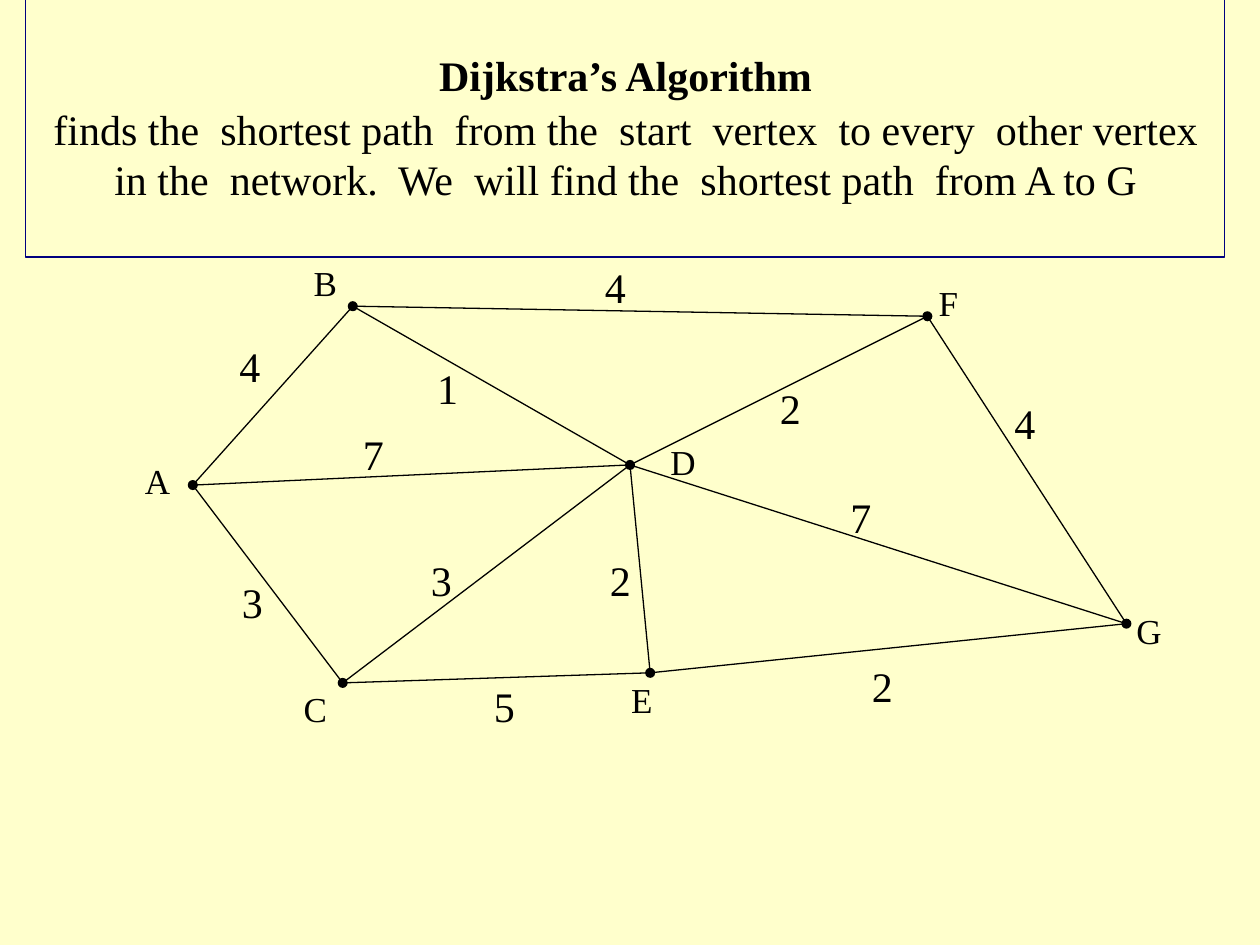
from dataclasses import dataclass

from lxml.etree import SubElement
from pptx import Presentation
from pptx.dml.color import RGBColor
from pptx.enum.shapes import MSO_CONNECTOR, MSO_SHAPE
from pptx.enum.text import PP_ALIGN
from pptx.oxml.ns import qn
from pptx.util import Inches, Pt


@dataclass(frozen=True)
class Theme:
    font: str = "Times New Roman"
    paper: RGBColor = RGBColor(0xFF, 0xFF, 0xCC)
    ink: RGBColor = RGBColor(0, 0, 0)
    frame: RGBColor = RGBColor(0, 0, 0x7F)
    body_size: int = 24
    vertex_size: int = 20
    line_width: float = 0.75
    dot: float = 0.08
    wide_gap: int = 600  # extra width of a wide word gap, in 1/100 pt


@dataclass(frozen=True)
class Vertex:
    x: float
    y: float
    label_x: float
    label_y: float


@dataclass(frozen=True)
class Edge:
    start: str
    end: str
    weight: int
    label_x: float
    label_y: float


THEME = Theme()

VERTICES = {
    "A": Vertex(1.53, 3.85, 1.15, 3.68),
    "B": Vertex(2.8, 2.43, 2.49, 2.11),
    "C": Vertex(2.72, 5.42, 2.41, 5.49),
    "D": Vertex(5, 3.69, 5.32, 3.53),
    "E": Vertex(5.16, 5.34, 5.01, 5.42),
    "F": Vertex(7.36, 2.51, 7.45, 2.27),
    "G": Vertex(8.94, 4.95, 9.02, 4.87),
}

EDGES = [
    Edge("A", "B", 4, 1.9, 2.75),
    Edge("A", "C", 3, 1.92, 4.62),
    Edge("A", "D", 7, 2.88, 3.45),
    Edge("B", "D", 1, 3.47, 2.92),
    Edge("B", "F", 4, 4.8, 2.12),
    Edge("C", "D", 3, 3.42, 4.45),
    Edge("C", "E", 5, 3.92, 5.45),
    Edge("D", "E", 2, 4.84, 4.45),
    Edge("D", "F", 2, 6.19, 3.08),
    Edge("D", "G", 7, 6.75, 3.95),
    Edge("E", "G", 2, 6.92, 5.29),
    Edge("F", "G", 4, 8.05, 3.2),
]

TITLE = "Dijkstra’s Algorithm"
# Wide word gaps fall between these phrases.
SUMMARY = [
    "finds the", "shortest path", "from the", "start", "vertex", "to every",
    "other vertex in the", "network.  We", "will find the", "shortest path",
    "from A to G",
]


def add_run(paragraph, text: str, size: int, bold: bool = False):
    run = paragraph.add_run()
    run.text = text
    run.font.name = THEME.font
    run.font.size = Pt(size)
    run.font.bold = bold
    run.font.color.rgb = THEME.ink
    return run


def add_text_frame(slide, left: float, top: float, width: float, height: float):
    box = slide.shapes.add_textbox(
        Inches(left), Inches(top), Inches(width), Inches(height))
    frame = box.text_frame
    frame.word_wrap = True
    frame.margin_left = frame.margin_right = 0
    frame.margin_top = frame.margin_bottom = 0
    return frame


def draw_label(slide, text: str, left: float, top: float, size: int,
               leading: float, before: float) -> None:
    frame = add_text_frame(slide, left, top, 0.3, 0.36)
    paragraph = frame.paragraphs[0]
    paragraph.line_spacing = Pt(leading)
    paragraph.space_before = Pt(before)
    add_run(paragraph, text, size)


def draw_edge(slide, edge: Edge) -> None:
    start, end = VERTICES[edge.start], VERTICES[edge.end]
    line = slide.shapes.add_connector(
        MSO_CONNECTOR.STRAIGHT, Inches(start.x), Inches(start.y),
        Inches(end.x), Inches(end.y))
    line.line.color.rgb = THEME.ink
    line.line.width = Pt(THEME.line_width)
    SubElement(line._element.spPr, qn("a:effectLst"))
    draw_label(slide, str(edge.weight), edge.label_x, edge.label_y,
               THEME.body_size, 25.5, 1.3)


def draw_vertex(slide, name: str, vertex: Vertex) -> None:
    dot = slide.shapes.add_shape(
        MSO_SHAPE.OVAL, Inches(vertex.x - THEME.dot / 2),
        Inches(vertex.y - THEME.dot / 2), Inches(THEME.dot), Inches(THEME.dot))
    dot.shadow.inherit = False
    dot.fill.solid()
    dot.fill.fore_color.rgb = THEME.ink
    dot.line.fill.background()
    draw_label(slide, name, vertex.label_x, vertex.label_y,
               THEME.vertex_size, 21.6, 1.1)


def draw_frame(slide) -> None:
    """Outline the heading on three sides, open at the top of the slide."""
    left, right, bottom = Inches(0.2), Inches(9.72), Inches(2.04)
    builder = slide.shapes.build_freeform(left, 0)
    builder.add_line_segments(
        [(left, bottom), (right, bottom), (right, 0)], close=False)
    outline = builder.convert_to_shape()
    outline.shadow.inherit = False
    outline.fill.background()
    outline.line.color.rgb = THEME.frame
    outline.line.width = Pt(THEME.line_width)


def draw_heading(slide) -> None:
    frame = add_text_frame(slide, 0.2, 0, 9.53, 2.04)
    frame.margin_top = Inches(0.42)
    frame.margin_left = frame.margin_right = Inches(0.07)

    title = frame.paragraphs[0]
    title.alignment = PP_ALIGN.CENTER
    title.line_spacing = 0.96
    add_run(title, TITLE, THEME.body_size, bold=True)

    summary = frame.add_paragraph()
    summary.alignment = PP_ALIGN.CENTER
    summary.space_before = Pt(1.2)
    for index, phrase in enumerate(SUMMARY):
        if index:
            gap = add_run(summary, " ", THEME.body_size)
            gap.font._element.set("spc", str(THEME.wide_gap))
        add_run(summary, phrase, THEME.body_size)


def main() -> None:
    presentation = Presentation()
    presentation.slide_width = Inches(10)
    presentation.slide_height = Inches(7.5)
    slide = presentation.slides.add_slide(presentation.slide_layouts[6])
    slide.background.fill.solid()
    slide.background.fill.fore_color.rgb = THEME.paper

    draw_frame(slide)
    for edge in EDGES:
        draw_edge(slide, edge)
    for name, vertex in VERTICES.items():
        draw_vertex(slide, name, vertex)
    draw_heading(slide)
    presentation.save("out.pptx")


if __name__ == "__main__":
    main()
